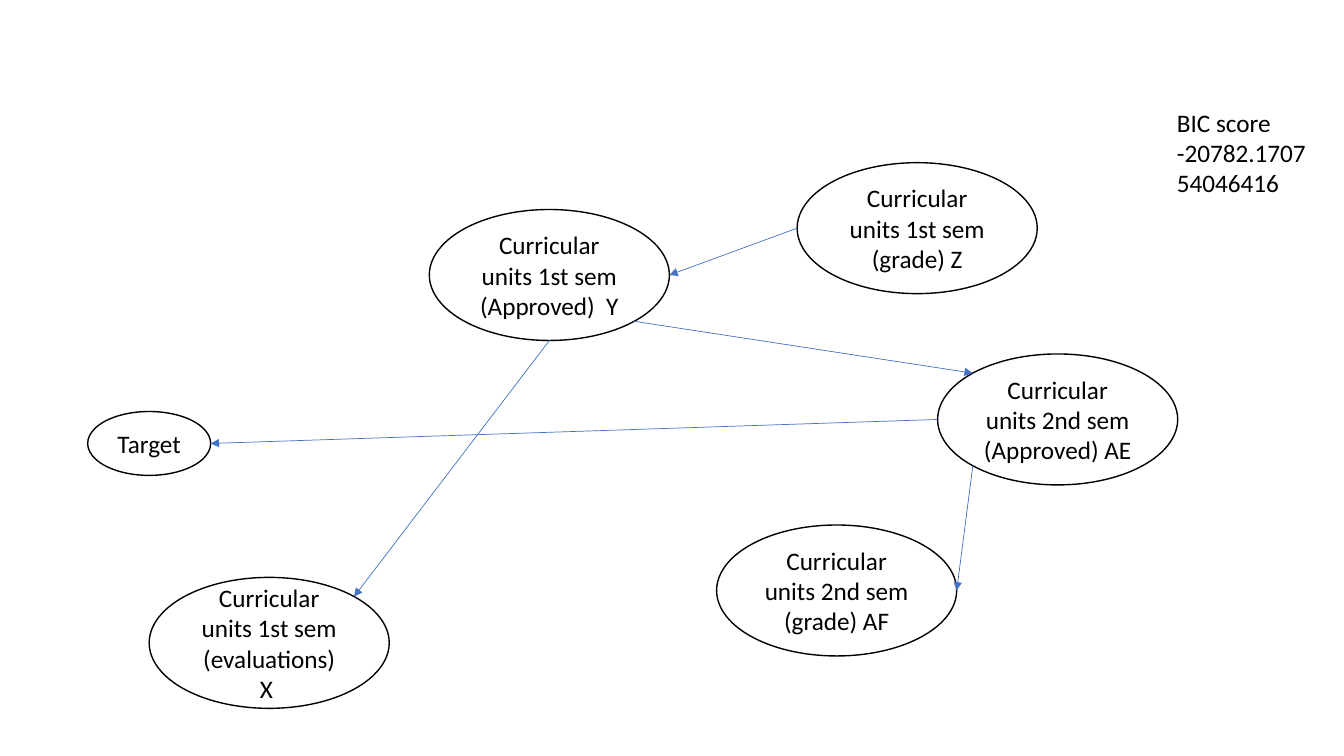
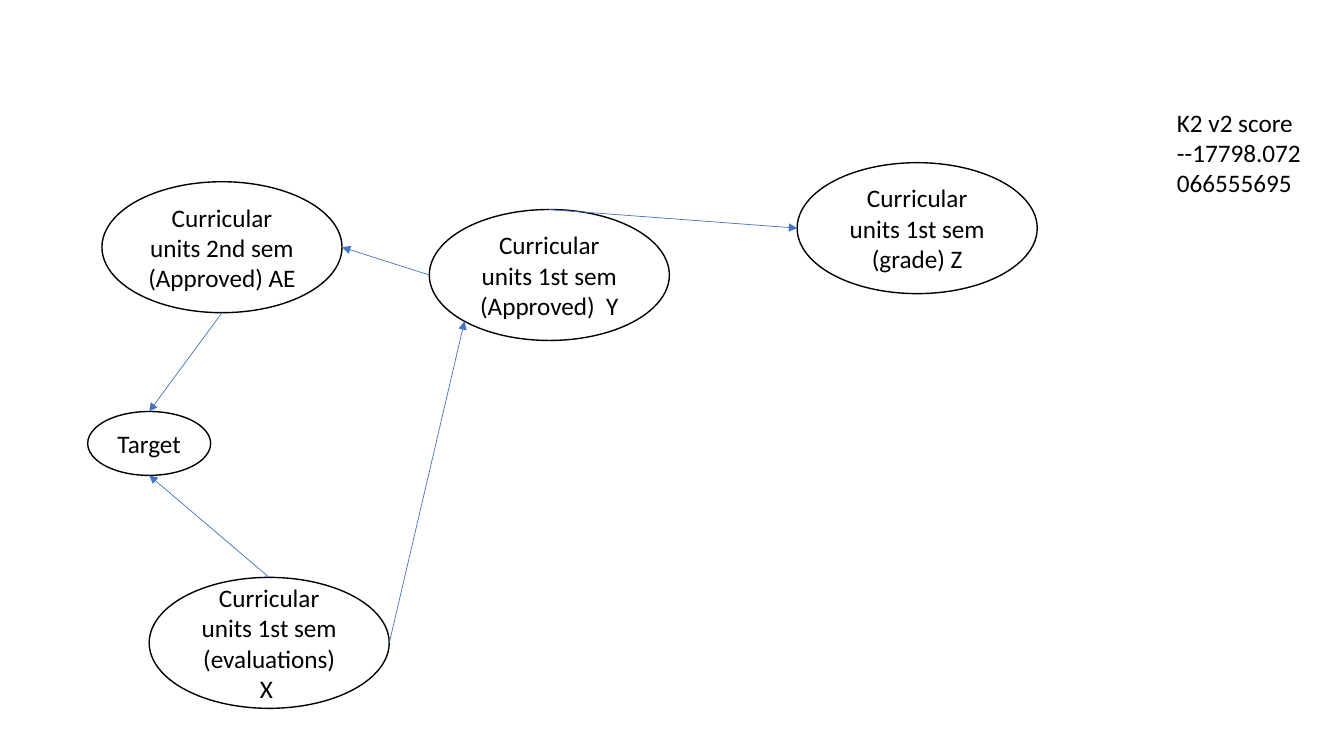
"""Two Bayesian network diagrams, each with its score."""
import dataclasses
import enum
import math

import lxml.etree
import pptx
import pptx.dml.color
import pptx.enum.shapes
import pptx.enum.text
import pptx.oxml.ns
import pptx.util

Cm = pptx.util.Cm
qn = pptx.oxml.ns.qn


@dataclasses.dataclass(frozen=True)
class Theme:
    """Colours, type and line sizes shared by the slides."""
    ink: pptx.dml.color.RGBColor = pptx.dml.color.RGBColor(0, 0, 0)
    arrow: pptx.dml.color.RGBColor = pptx.dml.color.RGBColor(0x44, 0x72, 0xC4)
    font: str = "Calibri"
    text_size: int = pptx.util.Pt(18)
    outline: int = pptx.util.Pt(1)
    arrow_width: int = pptx.util.Pt(0.5)


@dataclasses.dataclass(frozen=True)
class Box:
    """A rectangle in centimetres."""
    left: float
    top: float
    width: float
    height: float

    def inside(self, outer):
        """Return this box shifted by the corner of the outer one."""
        return Box(outer.left + self.left, outer.top + self.top, self.width, self.height)

    def lengths(self):
        """Return left, top, width and height as slide lengths."""
        return [Cm(value) for value in dataclasses.astuple(self)]


class Site(enum.IntEnum):
    """Connection sites of an ellipse, counter-clockwise from the top."""
    TOP = 0
    TOP_LEFT = 1
    LEFT = 2
    BOTTOM_LEFT = 3
    BOTTOM = 4
    BOTTOM_RIGHT = 5
    RIGHT = 6
    TOP_RIGHT = 7


THEME = Theme()
PAGE = Box(0, 0, 33.87, 19.05)
UNIT_SIZE = (6.05, 3.3)
TARGET_SIZE = (3.1, 1.61)

LABELS = {
    "Y": "Curricular units 1st sem (Approved)  Y",
    "Z": "Curricular units 1st sem (grade) Z",
    "AF": "Curricular units 2nd sem (grade) AF",
    "Target": "Target",
    "AE": "Curricular units 2nd sem (Approved) AE",
    "X": "Curricular units 1st sem (evaluations) X ",
}
SHARED_NODES = {
    "Y": Box(10.82, 5.28, *UNIT_SIZE),
    "Z": Box(20.09, 4.1, *UNIT_SIZE),
    "Target": Box(2.21, 10.37, *TARGET_SIZE),
    "X": Box(3.76, 14.55, *UNIT_SIZE),
}
NETWORKS = [
    {
        "nodes": SHARED_NODES | {
            "AF": Box(18.06, 13.23, *UNIT_SIZE),
            "AE": Box(23.63, 8.92, *UNIT_SIZE),
        },
        "arrows": [
            ("Z", Site.LEFT, "Y", Site.RIGHT),
            ("AE", Site.BOTTOM_LEFT, "AF", Site.RIGHT),
            ("AE", Site.LEFT, "Target", Site.RIGHT),
            ("Y", Site.BOTTOM_RIGHT, "AE", Site.TOP_LEFT),
            ("Y", Site.BOTTOM, "X", Site.TOP_RIGHT),
        ],
        "score": ("BIC score -20782.170754046416", Box(29.41, 2.57, 3.8, 2.56)),
    },
    {
        "nodes": SHARED_NODES | {"AE": Box(2.57, 4.58, *UNIT_SIZE)},
        "arrows": [
            ("AE", Site.BOTTOM, "Target", Site.TOP),
            ("Y", Site.LEFT, "AE", Site.RIGHT),
            ("Y", Site.TOP, "Z", Site.LEFT),
            ("X", Site.RIGHT, "Y", Site.BOTTOM_LEFT),
            ("X", Site.TOP, "Target", Site.BOTTOM),
        ],
        "score": ("K2 v2 score --17798.072066555695", Box(29.41, 2.57, 3.9, 3.33)),
    },
]


def apply_format(target, values):
    """Set each named attribute of the target."""
    for name, value in values.items():
        setattr(target, name, value)


def write_text(frame, text, align, frame_format):
    """Fill a text frame with one paragraph in the theme's type."""
    apply_format(frame, {"word_wrap": True} | frame_format)
    para = frame.paragraphs[0]
    para.alignment = align
    span = para.add_run()
    span.text = text
    apply_format(span.font, {"name": THEME.font, "size": THEME.text_size})
    span.font.color.rgb = THEME.ink


def add_node(page, box, label):
    """Draw one labelled ellipse in the box."""
    node = page.shapes.add_shape(pptx.enum.shapes.MSO_SHAPE.OVAL, *box.lengths())
    node.shadow.inherit = False
    node.fill.background()
    node.line.color.rgb = THEME.ink
    node.line.width = THEME.outline
    write_text(node.text_frame, label, pptx.enum.text.PP_ALIGN.CENTER,
               {"vertical_anchor": pptx.enum.text.MSO_ANCHOR.MIDDLE})
    return node


def site_point(node, site):
    """Return the position of a connection site on an ellipse."""
    angle = math.radians(45 * site)
    return (round(node.left + node.width / 2 * (1 - math.sin(angle))),
            round(node.top + node.height / 2 * (1 - math.cos(angle))))


def add_arrow(page, source, source_site, target, target_site):
    """Join two ellipses with a glued arrow."""
    arrow = page.shapes.add_connector(
        pptx.enum.shapes.MSO_CONNECTOR.STRAIGHT,
        *site_point(source, source_site), *site_point(target, target_site))
    arrow.line.color.rgb = THEME.arrow
    arrow.line.width = THEME.arrow_width
    outline = arrow.element.spPr.find(qn("a:ln"))
    lxml.etree.SubElement(outline, qn("a:tailEnd"), type="triangle")
    lxml.etree.SubElement(arrow.element.spPr, qn("a:effectLst"))
    glue = arrow.element.nvCxnSpPr.cNvCxnSpPr
    for tag, node, site in (("a:stCxn", source, source_site), ("a:endCxn", target, target_site)):
        lxml.etree.SubElement(glue, qn(tag), id=str(node.shape_id), idx=str(site.value))


def add_score(page, box, text):
    """Write the network's score in the box."""
    score = page.shapes.add_textbox(*box.lengths())
    write_text(score.text_frame, text, pptx.enum.text.PP_ALIGN.LEFT,
               {"auto_size": pptx.enum.text.MSO_AUTO_SIZE.SHAPE_TO_FIT_TEXT})


def add_network(page, box, network):
    """Draw the nodes, arrows and score of a network within the box."""
    nodes = {key: add_node(page, place.inside(box), LABELS[key])
             for key, place in network["nodes"].items()}
    for source, source_site, target, target_site in network["arrows"]:
        add_arrow(page, nodes[source], source_site, nodes[target], target_site)
    text, place = network["score"]
    add_score(page, place.inside(box), text)


def main():
    """Build and save the deck."""
    deck = pptx.Presentation()
    apply_format(deck, {"slide_width": Cm(PAGE.width), "slide_height": Cm(PAGE.height)})
    blank = deck.slide_layouts.get_by_name("Blank")
    for network in NETWORKS:
        add_network(deck.slides.add_slide(blank), PAGE, network)
    deck.save("out.pptx")


if __name__ == "__main__":
    main()
